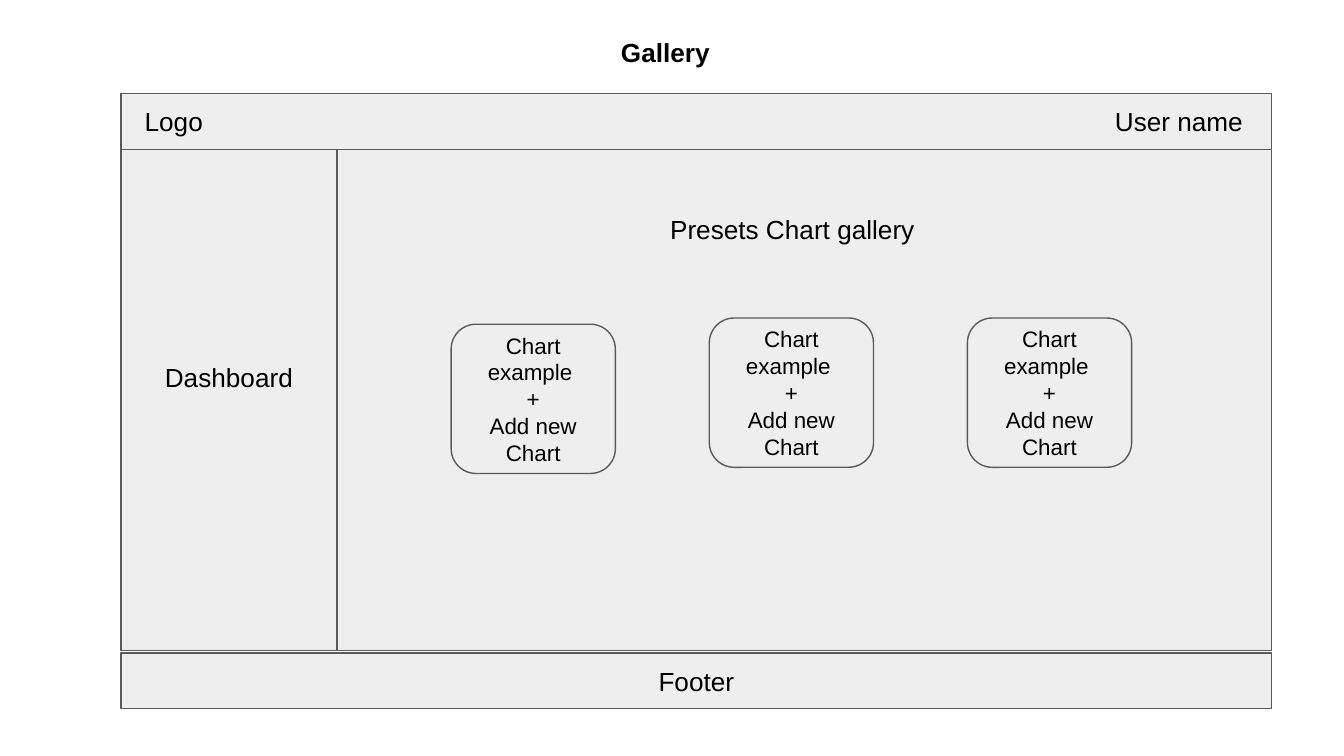
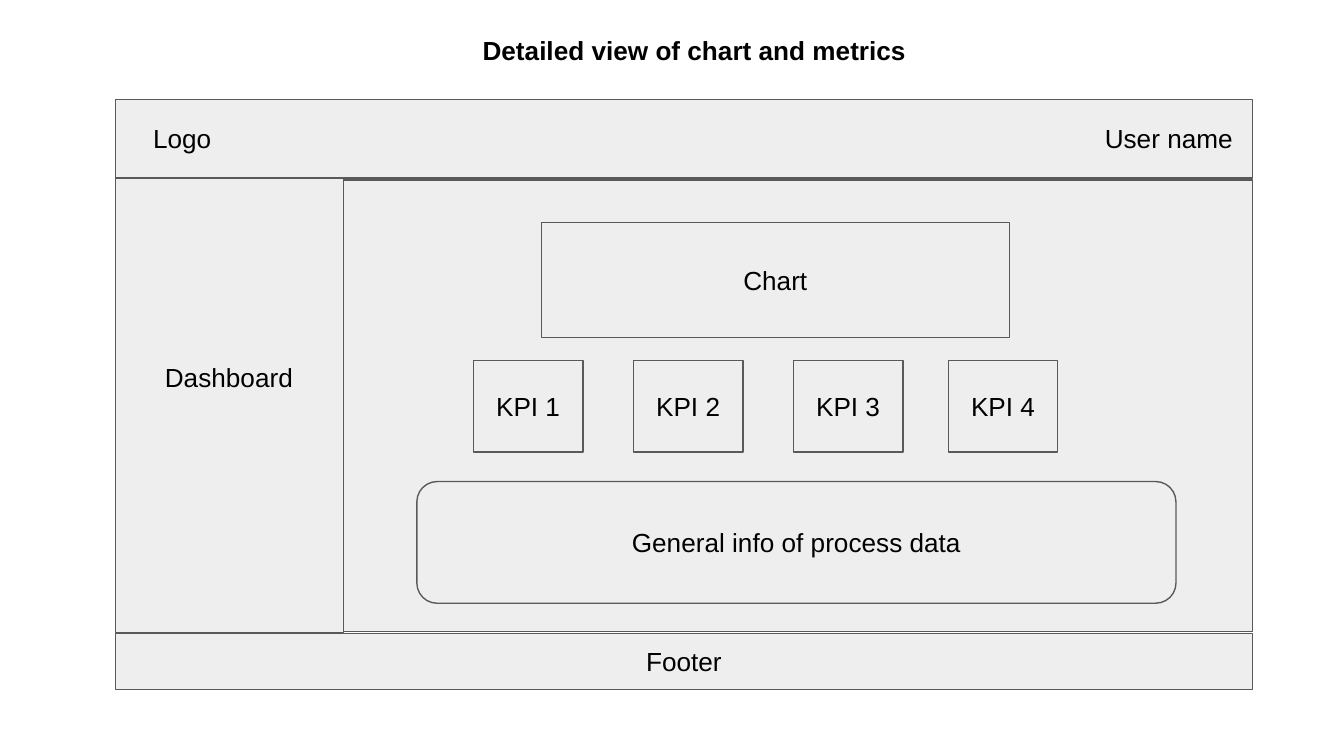
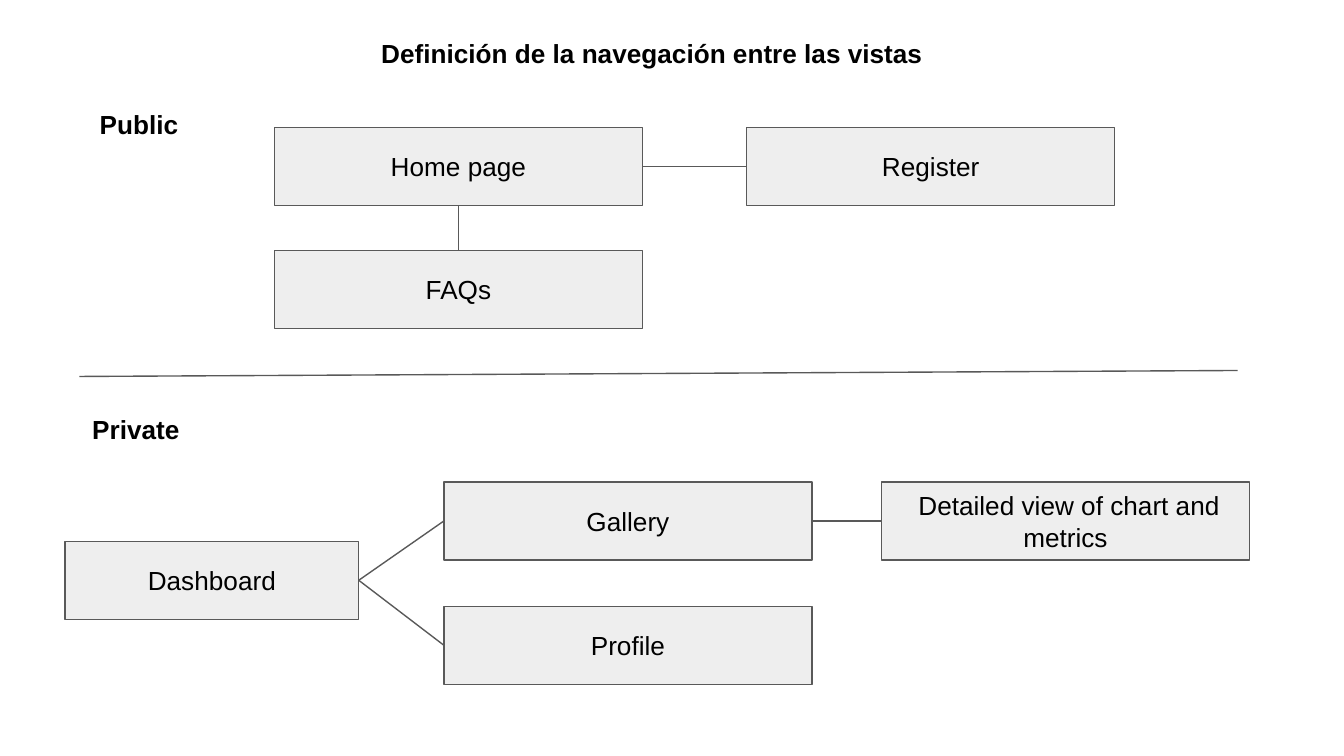
from dataclasses import dataclass

from lxml.etree import SubElement
from pptx import Presentation
from pptx.dml.color import RGBColor
from pptx.enum.shapes import MSO_CONNECTOR as Line, MSO_SHAPE as Shape
from pptx.enum.text import MSO_ANCHOR as Anchor, MSO_AUTO_SIZE as AutoSize, PP_ALIGN as Align
from pptx.oxml.ns import qn
from pptx.util import Pt


@dataclass(frozen=True)
class Theme:
    fill: RGBColor = RGBColor(0xEE, 0xEE, 0xEE)
    line: RGBColor = RGBColor(0x59, 0x59, 0x59)
    text: RGBColor = RGBColor(0, 0, 0)
    font: str = "Arial"
    body: int = 14
    small: int = 12
    stroke: float = 0.75
    inset: float = 7.2


theme = Theme()


def write(sp, text, size=theme.body, bold=False, align=Align.CENTER, anchor=Anchor.MIDDLE):
    tf = sp.text_frame
    tf.word_wrap = True
    tf.auto_size = AutoSize.NONE
    tf.vertical_anchor = anchor
    tf.margin_left = tf.margin_right = tf.margin_top = tf.margin_bottom = Pt(theme.inset)
    for i, line in enumerate(text.split("\n")):
        p = tf.paragraphs[0] if i == 0 else tf.add_paragraph()
        p.alignment = align
        r = p.add_run()
        r.text = line
        r.font.name = theme.font
        r.font.size = Pt(size)
        r.font.bold = bold
        r.font.color.rgb = theme.text


def box(s, at, text="", kind=Shape.RECTANGLE, **fmt):
    sp = s.shapes.add_shape(kind, *map(Pt, at))
    sp.shadow.inherit = False
    sp.fill.solid()
    sp.fill.fore_color.rgb = theme.fill
    sp.line.color.rgb = theme.line
    sp.line.width = Pt(theme.stroke)
    if text:
        write(sp, text, **fmt)
    return sp


prs = Presentation()
prs.slide_width, prs.slide_height = Pt(720), Pt(405)

titles = [
    ("Gallery", (145.5, 12.4, 422, 31.5), Align.CENTER),
    (" Detailed view of chart and metrics", (232.6, 11, 275, 31.5), Align.CENTER),
    ("Definición de la navegación entre las vistas", (197, 13, 325.5, 31.5), Align.LEFT),
]
for text, at, align in titles:
    s = prs.slides.add_slide(prs.slide_layouts[5])
    title = s.shapes.title
    title.left, title.top, title.width, title.height = map(Pt, at)
    write(title, text, bold=True, align=align, anchor=Anchor.TOP)
gallery, detail, navigation = prs.slides

frames = [
    (gallery, dict(
        main=(180.3, 80, 501, 268.5), sidebar=(64.8, 80, 115.7, 268.5),
        header=(64.8, 50.2, 616.5, 30), footer=(64.8, 349.8, 616.5, 30),
        logo=(70.4, 49.2), user=(590.2, 49.2))),
    (detail, dict(
        main=(184, 96.5, 487, 242), sidebar=(61.8, 93.6, 122.2, 245.3),
        header=(61.8, 53.2, 609.2, 42.2), footer=(61.8, 339.3, 609.2, 30),
        logo=(74.9, 58.4), user=(584.8, 58.4))),
]
for s, frame in frames:
    for part in ("main", "sidebar", "header"):
        box(s, frame[part])
    box(s, frame["footer"], "Footer")
    labels = [
        ("Logo", (*frame["logo"], 65, 31.5), Align.LEFT),
        ("User name", (*frame["user"], 103, 31.5), Align.LEFT),
        ("Dashboard", (64.8, 186.5, 115.7, 31.5), Align.CENTER),
    ]
    if s.slide_id == gallery.slide_id:
        labels.append(("Presets Chart gallery ", (350, 107, 153, 48), Align.CENTER))
    for text, at, align in labels:
        write(s.shapes.add_textbox(*map(Pt, at)), text, align=align, anchor=Anchor.TOP)

for i, top in enumerate((173.7, 170.4, 170.4)):
    box(gallery, (241.7 + i * 138.3, top, 88, 80), "Chart example \n+\nAdd new Chart",
        Shape.ROUNDED_RECTANGLE, size=theme.small)

for i, left in enumerate((253.6, 339.3, 425, 508), 1):
    box(detail, (left, 193, 58.7, 49.2), f"KPI {i}")
box(detail, (290, 119.2, 250.7, 61.5), "Chart")
box(detail, (223.3, 258, 406.7, 65.2), "General info of process data", Shape.FLOWCHART_ALTERNATE_PROCESS)

wide = 197.2
pages = {
    "home": ("Home page", 147, 68.3, wide),
    "faqs": ("FAQs", 147, 134.2, wide),
    "register": ("Register", 400, 68.3, wide),
    "dashboard": ("Dashboard", 34.8, 290, 157.4),
    "gallery": ("Gallery", 237.8, 258.2, wide),
    "profile": ("Profile", 237.8, 324.8, wide),
    "detail": (" Detailed view of chart and metrics", 472.2, 258.2, wide),
}
nodes = {name: box(navigation, (x, y, w, 41.8), text) for name, (text, x, y, w) in pages.items()}

for text, x, y in [("Public", 46.3, 51), ("Private", 42.3, 214.2)]:
    tb = navigation.shapes.add_textbox(*map(Pt, (x, y, 68, 31.5)))
    write(tb, text, bold=True, align=Align.LEFT, anchor=Anchor.TOP)

top, left, bottom, right = range(4)
divider = navigation.shapes.add_connector(Line.STRAIGHT, *map(Pt, (42.5, 201.7, 663, 198.5)))
lines = [divider]
for start, out, end, into in [
    ("home", right, "register", left),
    ("home", bottom, "faqs", top),
    ("dashboard", right, "gallery", left),
    ("dashboard", right, "profile", left),
    ("gallery", right, "detail", left),
]:
    link = navigation.shapes.add_connector(Line.STRAIGHT, 0, 0, 0, 0)
    link.begin_connect(nodes[start], out)
    link.end_connect(nodes[end], into)
    lines.append(link)
for line in lines:
    line.line.color.rgb = theme.line
    line.line.width = Pt(theme.stroke)
    SubElement(line._element.spPr, qn("a:effectLst"))

prs.save("out.pptx")
